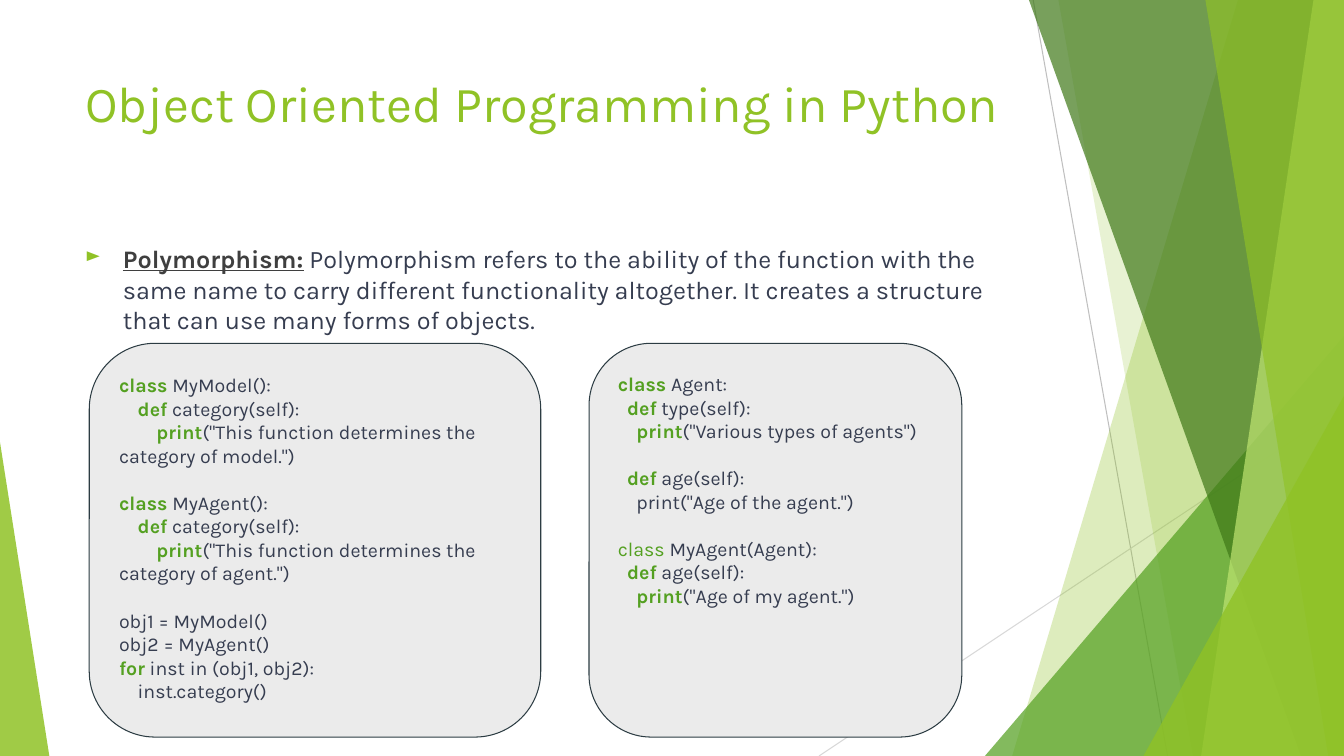
import pptx
import pptx.util
import pptx.dml.color
import pptx.enum.shapes
import pptx.enum.text
import lxml.etree
from pptx.oxml.ns import qn

PX = 9525
SHAPE = pptx.enum.shapes.MSO_SHAPE
TOP = pptx.enum.text.MSO_ANCHOR.TOP
LEFT = pptx.enum.text.PP_ALIGN.LEFT


class Theme:
    font = "Karla"
    lime, green, forest, pale = "90C226", "54A021", "3F7818", "BFE471"
    ink, dark, panel, edge = "363D50", "3F3F3F", "EBEBEB", "2C3C43"
    ray, faint = "BFBFBF", "D8D8D8"
    head, body, code, hair = 36, 18, 14, 0.75


MODEL = [
    "*class* MyModel():",
    "    *def* category(self):",
    '        *print*("This function determines the category of model.")',
    "",
    "*class* MyAgent():",
    "    *def* category(self):",
    '        *print*("This function determines the category of agent.")',
    "",
    "obj1 = MyModel()",
    "obj2 = MyAgent()",
    "*for* inst in (obj1, obj2):",
    "    inst.category()",
]
AGENT = [
    "*class* Agent:",
    "  *def* type(self):",
    '    *print*("Various types of agents")',
    "",
    "  *def* age(self):",
    '    print("Age of the agent.")',
    "",
    "*~class* MyAgent(Agent):",
    "  *def* age(self):",
    '    *print*("Age of my agent.")',
]


def px(*vals):
    return [round(v * PX) for v in vals]


def rgb(tone):
    return pptx.dml.color.RGBColor.from_string(tone)


def apply(item, vals):
    for name, val in vals.items():
        setattr(item, name, val)


def write(para, text, size, tone, **more):
    run = para.add_run()
    run.text = text
    apply(run.font, {"name": Theme.font, "size": pptx.util.Pt(size), **more})
    run.font.color.rgb = rgb(tone)


def frame(shape, side, edge):
    """Set wrap, anchor and margins, and return the text frame."""
    text = shape.text_frame
    side, edge = px(side, edge)
    apply(text, {"word_wrap": True, "vertical_anchor": TOP,
                 "auto_size": pptx.enum.text.MSO_AUTO_SIZE.NONE,
                 "margin_left": side, "margin_right": side,
                 "margin_top": edge, "margin_bottom": edge})
    return text


def tint(shape, tone, alpha):
    """Fill without outline, at an opacity given in percent."""
    shape.shadow.inherit = False
    shape.fill.solid()
    shape.fill.fore_color.rgb = rgb(tone)
    shape.line.fill.background()
    fill = shape.fill._xPr.find(qn("a:solidFill"))[0]
    lxml.etree.SubElement(fill, qn("a:alpha"), val=str(alpha * 1000))


def ray(slide, ends, tone):
    line = slide.shapes.add_connector(
        pptx.enum.shapes.MSO_CONNECTOR.STRAIGHT, *px(*ends))
    line.line.color.rgb = rgb(tone)
    line.line.width = pptx.util.Pt(Theme.hair)
    lxml.etree.SubElement(line._element.spPr, qn("a:effectLst"))


def band(slide, box, top, foot, tone, alpha):
    """Draw a full-height facet from the right edge to a slanted side."""
    left, up, wide, high = box
    right, low = left + wide, up + high
    form = slide.shapes.build_freeform(left + top, up, scale=PX)
    form.add_line_segments([(right, up), (right, low), (left + foot, low)])
    tint(form.convert_to_shape(), tone, alpha)


def wedge(slide, box, peak, tone, alpha):
    shape = slide.shapes.add_shape(SHAPE.ISOSCELES_TRIANGLE, *px(*box))
    shape.adjustments[0] = peak
    tint(shape, tone, alpha)


def facets(slide, box):
    """Layer the translucent facets along the slide's right and left."""
    left, top, wide, high = box
    right, low = left + wide, top + high

    def corner(width, height, tone, alpha):
        wedge(slide, (right - width, low - height, width, height),
              1, tone, alpha)

    ray(slide, (left + 984, top, left + 1112, low), Theme.ray)
    ray(slide, (right, top + 387, left + 780, low), Theme.faint)
    band(slide, box, 1179, 964, Theme.lime, 30)
    band(slide, box, 1008, 1136, Theme.lime, 20)
    corner(342, 400, Theme.green, 72)
    band(slide, box, 980, 1239, Theme.forest, 70)
    band(slide, box, 1251, 1144, Theme.pale, 70)
    band(slide, box, 1148, 1265, Theme.lime, 65)
    corner(191, 343, Theme.lime, 80)
    wedge(slide, (left, low - 299, 47, 299), 0, Theme.lime, 85)


def title(slide, box, words):
    shape = slide.shapes.title
    apply(shape, dict(zip(("left", "top", "width", "height"), px(*box))))
    para = frame(shape, 10, 5).paragraphs[0]
    para.alignment = LEFT
    write(para, words, Theme.head, Theme.lime)


def bullet(slide, box, term, words):
    shape = slide.shapes.add_textbox(*px(*box))
    para = frame(shape, 10, 5).paragraphs[0]
    props = para._p.get_or_add_pPr()
    for name, val in zip(("marL", "indent"), px(36, -38)):
        props.set(name, str(val))
    tone = lxml.etree.SubElement(props, qn("a:buClr"))
    lxml.etree.SubElement(tone, qn("a:srgbClr"), val=Theme.lime)
    lxml.etree.SubElement(props, qn("a:buSzPct"), val="80000")
    lxml.etree.SubElement(props, qn("a:buChar"), char="►")
    write(para, term, Theme.body, Theme.dark, bold=True, underline=True)
    write(para, " " + words, Theme.body, Theme.ink)


def code(slide, box, lines):
    """Draw a code panel: *word* is a bold keyword, *~word* a light one."""
    shape = slide.shapes.add_shape(SHAPE.ROUNDED_RECTANGLE, *px(*box))
    shape.shadow.inherit = False
    shape.adjustments[0] = 0.167
    shape.fill.solid()
    shape.fill.fore_color.rgb = rgb(Theme.panel)
    shape.line.color.rgb = rgb(Theme.edge)
    shape.line.width = pptx.util.Pt(Theme.hair)
    text = frame(shape, 10, 10)
    para, gap = text.paragraphs[0], 0
    for place, line in enumerate(lines):
        if not line:
            gap = Theme.code * 1.2
            continue
        if place:
            para = text.add_paragraph()
        apply(para, {"alignment": LEFT, "space_before": pptx.util.Pt(gap)})
        gap = 0
        for part, word in enumerate(line.split("*")):
            key = part % 2 == 1
            if word:
                write(para, word.lstrip("~"), Theme.code,
                      Theme.green if key else Theme.ink,
                      bold=key and word[0] != "~")


def main():
    deck = pptx.Presentation()
    wide, high = 1280, 720
    deck.slide_width, deck.slide_height = px(wide, high)
    slide = deck.slides.add_slide(deck.slide_layouts.get_by_name("Title Only"))
    facets(slide, (0, 0, wide, high))
    title(slide, (71, 64, 902, 138), "Object Oriented Programming in Python")
    bullet(slide, (71, 227, 902, 407), "Polymorphism:",
           "Polymorphism refers to the ability of the function with the same "
           "name to carry different functionality altogether. It creates a "
           "structure that can use many forms of objects.")
    code(slide, (85, 327, 430, 375), MODEL)
    code(slide, (561, 327, 355, 375), AGENT)
    deck.save("out.pptx")


if __name__ == "__main__":
    main()
